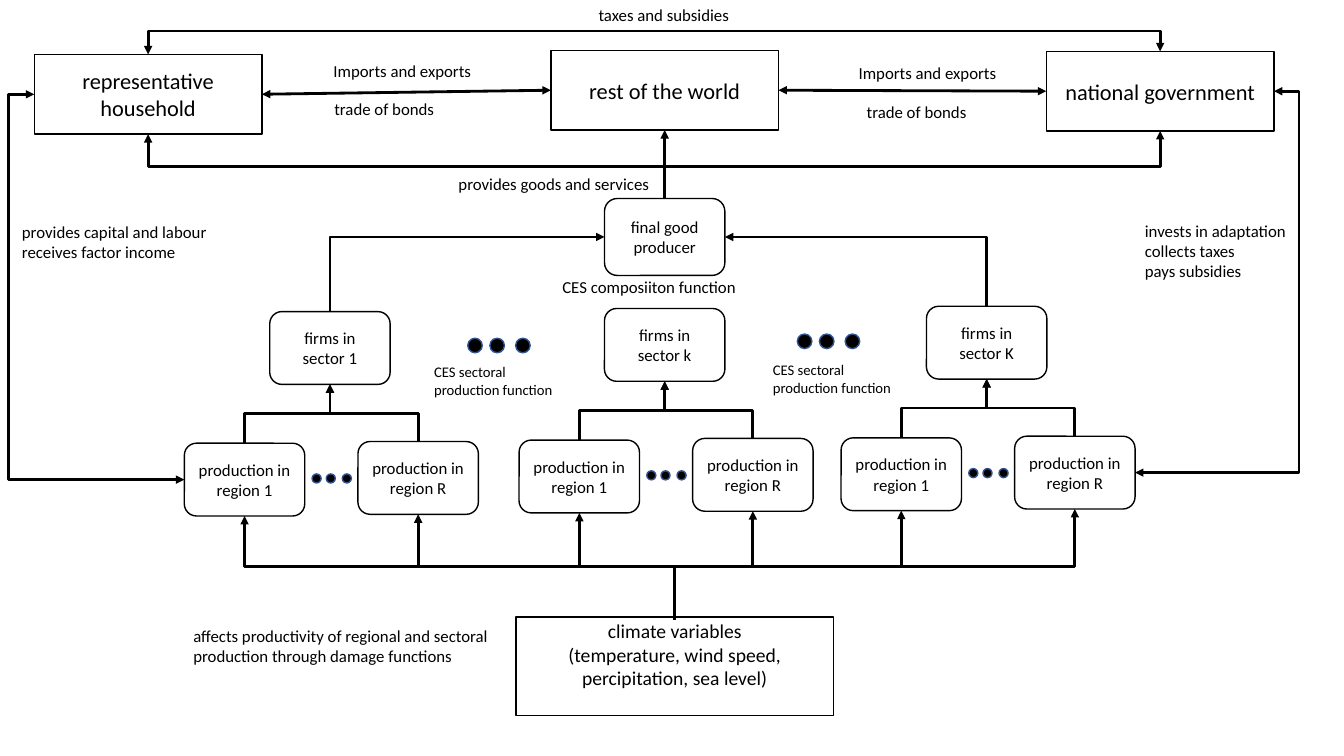
from dataclasses import dataclass
from typing import NamedTuple, Optional

from lxml.etree import SubElement
from pptx import Presentation
from pptx.dml.color import RGBColor
from pptx.enum.shapes import MSO_CONNECTOR, MSO_SHAPE
from pptx.enum.text import MSO_ANCHOR, MSO_AUTO_SIZE, PP_ALIGN
from pptx.oxml.ns import qn
from pptx.shapes.autoshape import Shape
from pptx.shapes.connector import Connector
from pptx.slide import Slide
from pptx.text.text import TextFrame
from pptx.util import Pt

BLACK = RGBColor(0x00, 0x00, 0x00)
DOT_EDGE = RGBColor(0x32, 0x54, 0x91)
FONT = "Calibri"
TOP, LEFT, BOTTOM, RIGHT = range(4)


class Point(NamedTuple):
    x: float
    y: float


@dataclass(frozen=True)
class Box:
    lines: tuple[str, ...]
    left: float
    top: float
    width: float = 86
    height: float = 52
    size: float = 12
    rounded: bool = True
    anchor: MSO_ANCHOR = MSO_ANCHOR.MIDDLE

    def side(self, site: int) -> Point:
        """Middle of the side with the given connection site number."""
        horizontal = {LEFT: 0, RIGHT: self.width}.get(site, self.width / 2)
        vertical = {TOP: 0, BOTTOM: self.height}.get(site, self.height / 2)
        return Point(self.left + horizontal, self.top + vertical)


@dataclass(frozen=True)
class Label:
    lines: tuple[str, ...]
    left: float
    top: float
    width: float
    height: float = 21.8
    size: float = 12
    wrap: bool = False


def agent(name: str, left: float, top: float) -> Box:
    return Box((name,), left, top, 162.6, 56.9, 16, rounded=False)


WORLD = agent("rest of the world", 393.5, 36)
GOVERNMENT = agent("national government", 747.4, 36.7)
HOUSEHOLD = agent("representative household", 24.5, 38.9)
CLIMATE = Box(("climate variables", "(temperature, wind speed,", "percipitation, sea level)"),
              368.6, 440.6, 226.8, 70.6, 14, rounded=False, anchor=MSO_ANCHOR.TOP)
FINAL_GOOD = Box(("final good producer",), 431.8, 141.8, height=55)
FIRMS = [
    Box((f"firms in sector {sector}",), left, top)
    for sector, left, top in (("1", 192.7, 222.6), ("k", 431.8, 220.4), ("K", 661.8, 218.8))
]
REGIONS = [
    (Box(("production in region 1",), firm.left - 61, firm.top + 94),
     Box(("production in region R",), firm.left + 63, firm.top + 92.8))
    for firm in FIRMS
]
LABELS = (
    Label(("affects productivity of regional and sectoral production through damage functions",),
          131, 443.5, 236.2, 36, wrap=True),
    Label(("CES sectoral production function",), 545, 254.2, 113, 32.4, 10.5, wrap=True),
    Label(("CES sectoral production function",), 303.1, 255.6, 113, 32.4, 10.5, wrap=True),
    Label(("Imports and exports",), 231.1, 39.9, 113.8),
    Label(("trade of bonds",), 231.8, 67, 86.4),
    Label(("trade of bonds",), 612, 69.1, 86.4),
    Label(("Imports and exports",), 606.2, 41, 113.8),
    Label(("taxes and subsidies",), 420.5, 0, 108.7),
    Label(("provides goods and services",), 320.4, 120.5, 151.9),
    Label(("CES composiiton function",), 394.6, 194.4, 139.7),
    Label(("invests in adaptation", "collects taxes", "pays subsidies"), 810.7, 154.1, 115.9, 51),
    Label(("provides capital and labour", "receives factor income"), 8.6, 154.8, 147.6, 36),
)
SMALL_DOTS = (30.2, 40.3, 51.8)
LARGE_DOTS = (0, 15.8, 34.2)
LARGE_DOT_STARTS = (Point(334.1, 241.6), Point(569.5, 238.6))
CLIMATE_BUS, GOODS_BUS, TAX_BUS = 404.6, 118.8, 22.3
HOUSEHOLD_LANE, GOVERNMENT_LANE = 6.3, 928


def write(frame: TextFrame, lines: tuple[str, ...], size: float, alignment: PP_ALIGN) -> None:
    for index, line in enumerate(lines):
        paragraph = frame.add_paragraph() if index else frame.paragraphs[0]
        paragraph.alignment = alignment
        run = paragraph.add_run()
        run.text = line
        run.font.name = FONT
        run.font.size = Pt(size)
        run.font.color.rgb = BLACK


def draw_box(slide: Slide, box: Box) -> Shape:
    kind = MSO_SHAPE.ROUNDED_RECTANGLE if box.rounded else MSO_SHAPE.RECTANGLE
    shape = slide.shapes.add_shape(kind, Pt(box.left), Pt(box.top), Pt(box.width), Pt(box.height))
    shape.shadow.inherit = False
    shape.fill.background()
    shape.line.color.rgb = BLACK
    shape.line.width = Pt(1)
    frame = shape.text_frame
    frame.word_wrap = True
    frame.vertical_anchor = box.anchor
    if box.rounded:
        frame.margin_left = frame.margin_right = Pt(6.5)
    if box.anchor == MSO_ANCHOR.TOP:
        frame.margin_top = Pt(1.5)
    write(frame, box.lines, box.size, PP_ALIGN.CENTER)
    return shape


def draw_label(slide: Slide, label: Label) -> None:
    frame = slide.shapes.add_textbox(
        Pt(label.left), Pt(label.top), Pt(label.width), Pt(label.height)).text_frame
    frame.word_wrap = label.wrap
    frame.auto_size = MSO_AUTO_SIZE.SHAPE_TO_FIT_TEXT
    write(frame, label.lines, label.size, PP_ALIGN.LEFT)


def draw_dots(slide: Slide, start: Point, offsets: tuple[float, ...], size: float) -> None:
    for offset in offsets:
        dot = slide.shapes.add_shape(
            MSO_SHAPE.OVAL, Pt(start.x + offset), Pt(start.y), Pt(size), Pt(size))
        dot.shadow.inherit = False
        dot.fill.solid()
        dot.fill.fore_color.rgb = BLACK
        dot.line.color.rgb = DOT_EDGE
        dot.line.width = Pt(1)


def draw_arrow(slide: Slide, kind: MSO_CONNECTOR, start: Point, end: Point,
               both_ends: bool = False) -> Connector:
    connector = slide.shapes.add_connector(
        kind, Pt(start.x), Pt(start.y), Pt(end.x), Pt(end.y))
    connector.line.color.rgb = BLACK
    connector.line.width = Pt(2)
    properties = connector.element.spPr
    line = properties.find(qn("a:ln"))
    for tag in ("a:headEnd", "a:tailEnd") if both_ends else ("a:tailEnd",):
        SubElement(line, qn(tag), type="triangle")
    SubElement(properties, qn("a:effectLst"))
    return connector


def draw_elbow(slide: Slide, start: Point, end: Point, bend: Optional[float] = None,
               vertical: bool = True, both_ends: bool = False) -> None:
    """Bent arrow turning at coordinate bend, or with a single corner if bend is None."""
    connector = draw_arrow(slide, MSO_CONNECTOR.ELBOW, start, end, both_ends)
    properties = connector.element.spPr
    geometry = properties.find(qn("a:prstGeom"))
    if bend is None:
        geometry.set("prst", "bentConnector2")
    else:
        first, last = (start.y, end.y) if vertical else (start.x, end.x)
        share = round((bend - first) / (last - first) * 100000)
        SubElement(geometry.find(qn("a:avLst")), qn("a:gd"), name="adj1", fmla=f"val {share}")
    if vertical:
        width, height = abs(end.y - start.y), abs(end.x - start.x)
        connector.left = Pt((start.x + end.x - width) / 2)
        connector.top = Pt((start.y + end.y - height) / 2)
        connector.width, connector.height = Pt(width), Pt(height)
        rightward = end.x > start.x
        transform = properties.find(qn("a:xfrm"))
        transform.set("rot", str((90 if rightward else 270) * 60000))
        transform.set("flipH", "1" if rightward else "0")
        transform.set("flipV", "1")


def main() -> None:
    presentation = Presentation()
    presentation.slide_width, presentation.slide_height = Pt(960), Pt(540)
    slide = presentation.slides.add_slide(presentation.slide_layouts[6])

    household, world, government, final_good = (
        draw_box(slide, box) for box in (HOUSEHOLD, WORLD, GOVERNMENT, FINAL_GOOD))
    draw_box(slide, CLIMATE)
    for source, source_box, source_site, target, target_box, target_site, both_ends in (
        (final_good, FINAL_GOOD, TOP, world, WORLD, BOTTOM, False),
        (household, HOUSEHOLD, RIGHT, world, WORLD, LEFT, True),
        (world, WORLD, RIGHT, government, GOVERNMENT, LEFT, True),
    ):
        arrow = draw_arrow(slide, MSO_CONNECTOR.STRAIGHT, source_box.side(source_site),
                           target_box.side(target_site), both_ends)
        arrow.begin_connect(source, source_site)
        arrow.end_connect(target, target_site)

    climate_exit = Point(CLIMATE.side(TOP).x, CLIMATE.top + 2)
    for firm, regions in zip(FIRMS, REGIONS):
        draw_box(slide, firm)
        draw_dots(slide, Point(firm.left, firm.top + 115.9), SMALL_DOTS, 6.5)
        for region in regions:
            draw_box(slide, region)
            draw_elbow(slide, region.side(TOP), firm.side(BOTTOM), firm.top + 72.7)
            draw_elbow(slide, climate_exit, region.side(BOTTOM), CLIMATE_BUS)

    draw_elbow(slide, FIRMS[0].side(TOP), FINAL_GOOD.side(LEFT))
    draw_elbow(slide, FIRMS[-1].side(TOP), FINAL_GOOD.side(RIGHT))
    for buyer in (HOUSEHOLD, GOVERNMENT):
        draw_elbow(slide, FINAL_GOOD.side(TOP), buyer.side(BOTTOM), GOODS_BUS)
    draw_elbow(slide, HOUSEHOLD.side(TOP), GOVERNMENT.side(TOP), TAX_BUS, both_ends=True)
    draw_elbow(slide, HOUSEHOLD.side(LEFT), REGIONS[0][0].side(LEFT), HOUSEHOLD_LANE,
               vertical=False, both_ends=True)
    draw_elbow(slide, GOVERNMENT.side(RIGHT), REGIONS[-1][1].side(RIGHT), GOVERNMENT_LANE,
               vertical=False, both_ends=True)

    for start in LARGE_DOT_STARTS:
        draw_dots(slide, start, LARGE_DOTS, 10.4)
    for label in LABELS:
        draw_label(slide, label)
    presentation.save("out.pptx")


if __name__ == "__main__":
    main()
